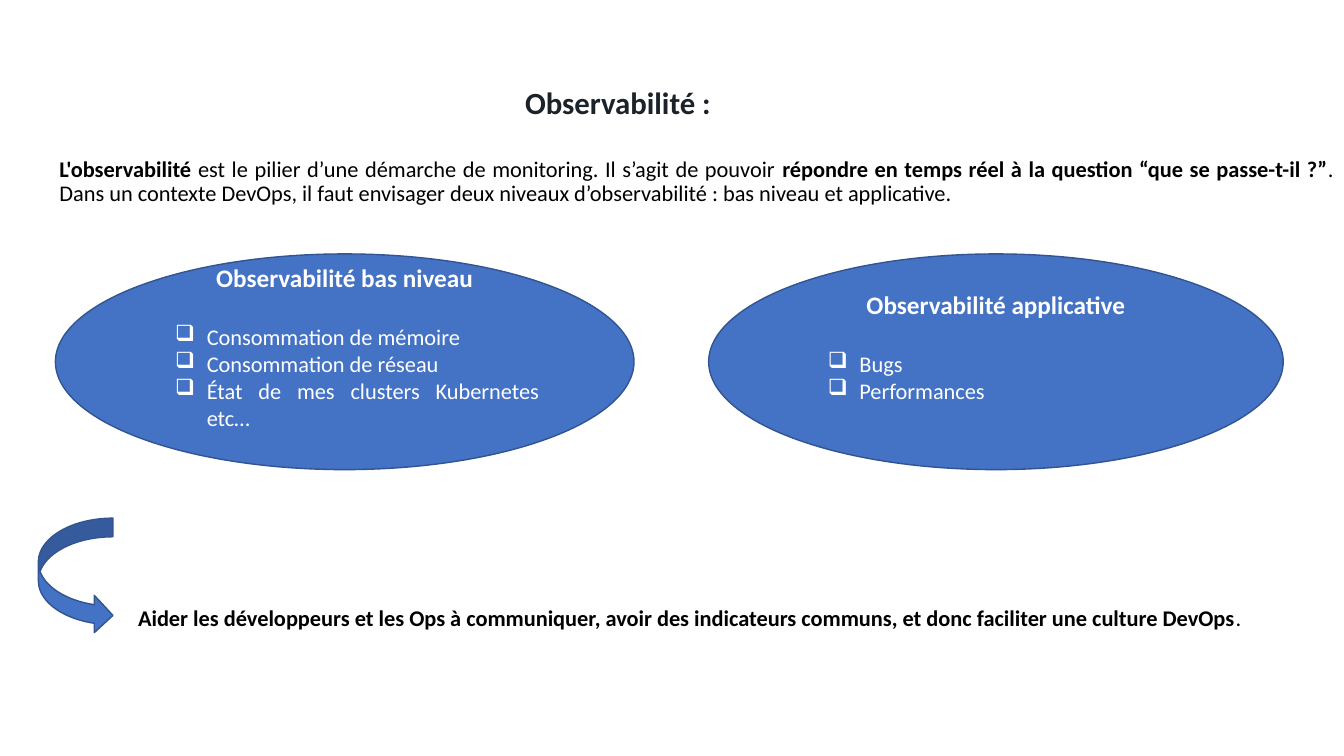
from pptx import Presentation
from pptx.util import Pt
from pptx.dml.color import RGBColor
from pptx.enum.shapes import MSO_SHAPE as Shape
from pptx.enum.text import MSO_ANCHOR as Anchor, MSO_AUTO_SIZE as AutoSize, PP_ALIGN as Align
from lxml.etree import SubElement
from pptx.oxml.ns import qn


def style(font, size, color, bold=False):
    font.name = "Calibri"
    font.size = Pt(size)
    font.bold = bold
    font.color.rgb = RGBColor.from_string(color)


def add_blue_shape(kind, left, top, width, height):
    shape = slide.shapes.add_shape(kind, Pt(left), Pt(top), Pt(width), Pt(height))
    shape.shadow.inherit = False
    shape.fill.solid()
    shape.fill.fore_color.rgb = RGBColor.from_string("4472C4")
    shape.line.color.rgb = RGBColor.from_string("325491")
    shape.line.width = Pt(1)
    return shape


prs = Presentation()
prs.slide_width, prs.slide_height = Pt(960), Pt(540)
slide = prs.slides.add_slide(prs.slide_layouts.get_by_name("Two Content"))
title, intro, conclusion = slide.placeholders

# Title
title.left, title.top, title.width, title.height = Pt(27.4), Pt(57.6), Pt(828), Pt(34.6)
title.text_frame.auto_size = AutoSize.NONE
title.text_frame.vertical_anchor = Anchor.MIDDLE
heading = title.text_frame.paragraphs[0]
heading.text = "Observabilité :"
heading.alignment = Align.CENTER
heading.line_spacing = 0.9
style(heading.font, 22, "1C2229", True)

# Introduction and conclusion: (text, bold) runs
statements = [
    (intro, 35.3, 109.4, 924.5, Align.JUSTIFY, [
        ("L'observabilité", True),
        (" est le pilier d’une démarche de monitoring. Il s’agit de pouvoir ", False),
        ("répondre en temps réel à la question “que se passe-t-il ?”", True),
        (". Dans un contexte DevOps, il faut envisager deux niveaux d’observabilité : "
         "bas niveau et applicative.", False),
    ]),
    (conclusion, 91.4, 429.8, 864, Align.LEFT, [
        ("Aider les développeurs et les Ops à communiquer, avoir des indicateurs communs, "
         "et donc faciliter une culture DevOps", True),
        (".", False),
    ]),
]
for body, left, top, width, alignment, phrases in statements:
    body.left, body.top, body.width, body.height = Pt(left), Pt(top), Pt(width), Pt(54.7)
    body.text_frame.auto_size = AutoSize.NONE
    statement = body.text_frame.paragraphs[0]
    properties = statement._p.get_or_add_pPr()
    properties.set("marL", "0")
    properties.set("indent", "0")
    SubElement(properties, qn("a:buNone"))
    statement.alignment = alignment
    statement.line_spacing = 0.9
    statement.space_before = Pt(0)
    for phrase, bold in phrases:
        run = statement.add_run()
        run.text = phrase
        style(run.font, 16, "000000", bold)

# Two levels of observability
levels = [
    (39.6, 413.3, "Observabilité bas niveau",
     ["Consommation de mémoire", "Consommation de réseau",
      "État de mes clusters Kubernetes etc…"]),
    (506.2, 410.4, "Observabilité applicative", ["Bugs", "Performances"]),
]
for left, width, name, indicators in levels:
    level = add_blue_shape(Shape.OVAL, left, 181.4, width, 154.1).text_frame
    level.word_wrap = True
    level.vertical_anchor = Anchor.MIDDLE
    level.margin_bottom = Pt(25.6)
    level_name = level.paragraphs[0]
    level_name.text = name
    level_name.alignment = Align.CENTER
    level_name.space_after = Pt(22)
    style(level_name.font, 18, "FFFFFF", True)
    for indicator in indicators:
        item = level.add_paragraph()
        item.text = indicator
        properties = item._p.get_or_add_pPr()
        properties.set("marL", str(Pt(40.5)))
        properties.set("indent", str(Pt(-22.5)))
        SubElement(properties, qn("a:buChar"), char="❑")
        item.alignment = Align.JUSTIFY
        style(item.font, 16, "FFFFFF")

# Arrow to the conclusion
add_blue_shape(Shape.CURVED_RIGHT_ARROW, 27.4, 370.1, 53.3, 82.8)

prs.save("out.pptx")
